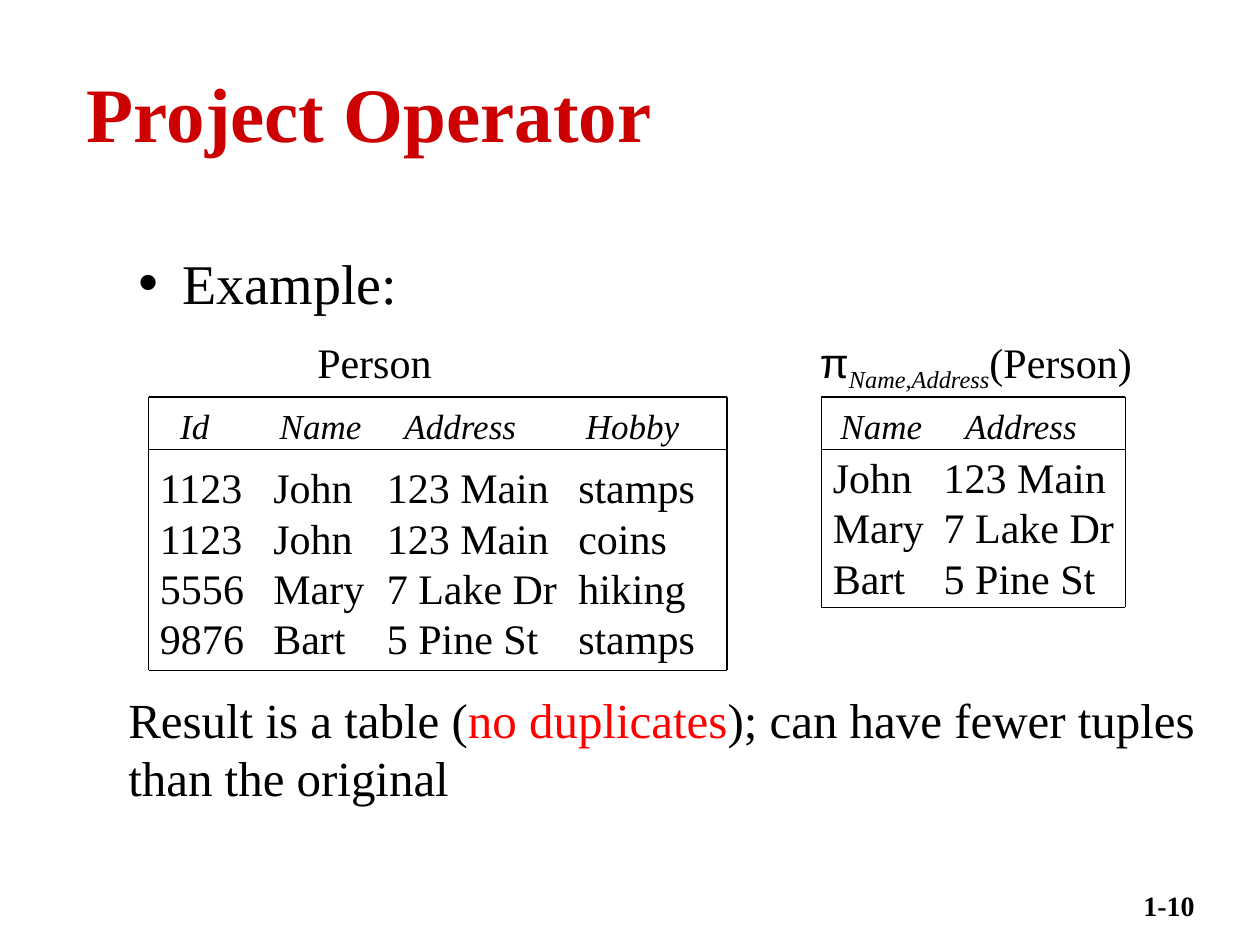
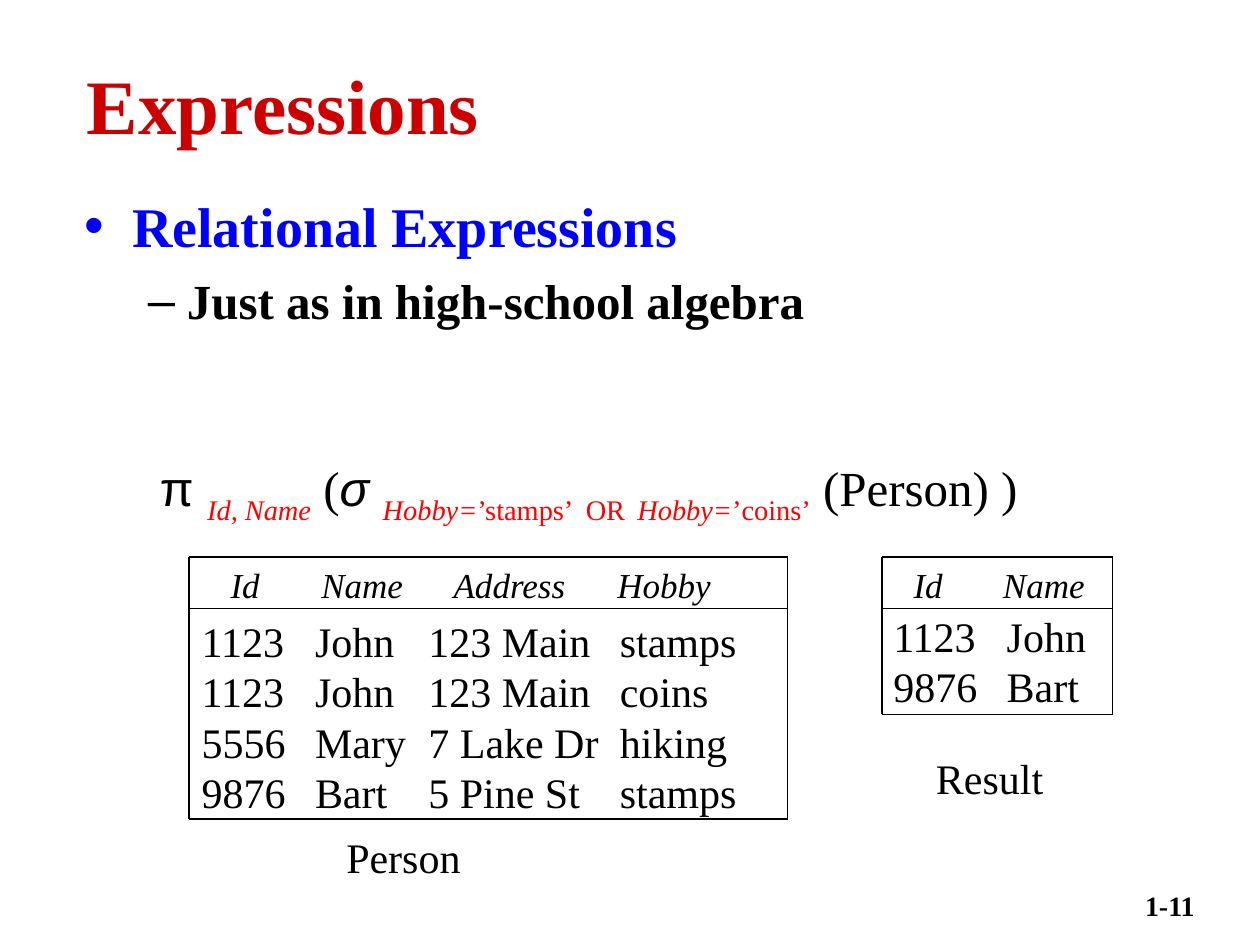
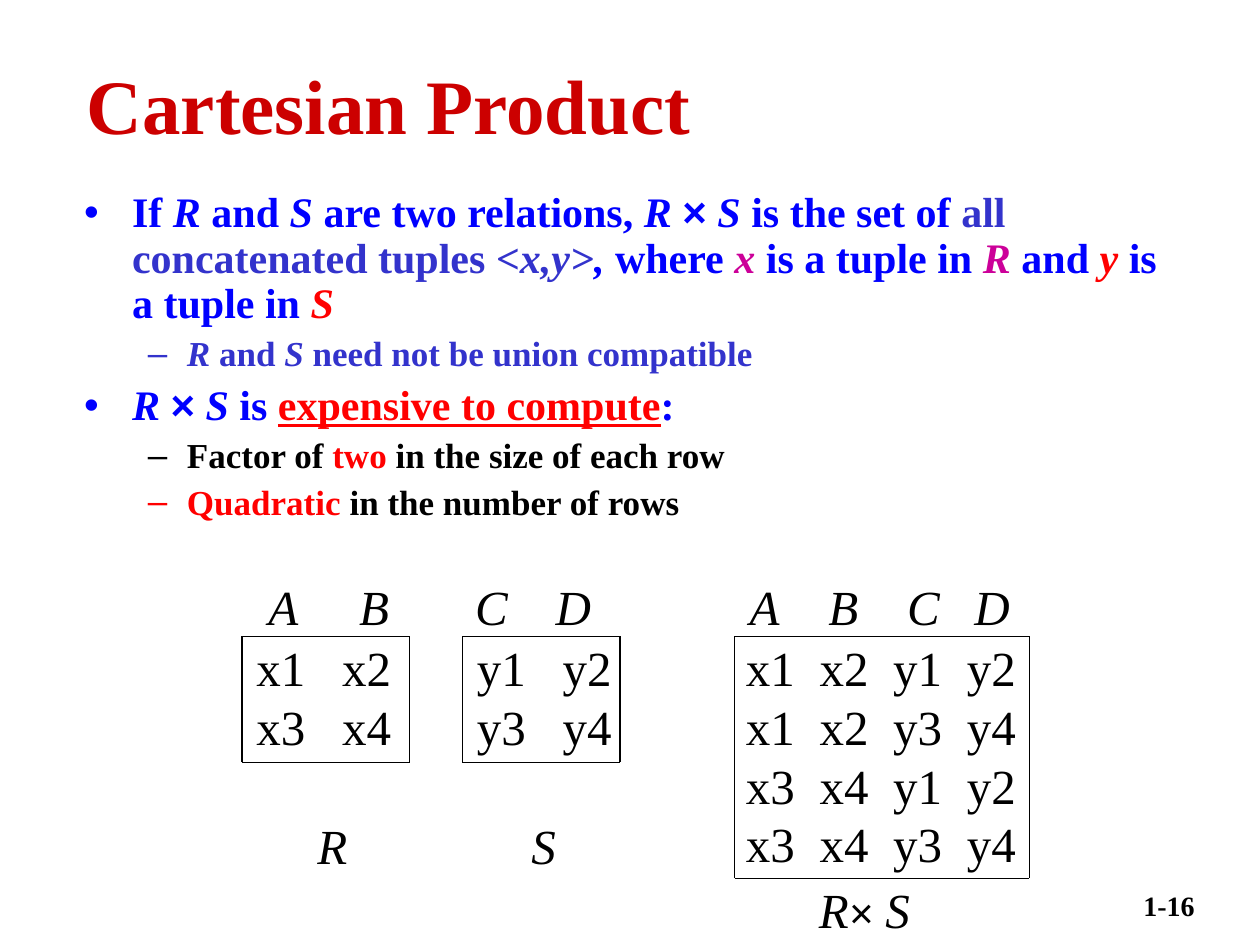
from dataclasses import dataclass, field

from lxml import etree
from pptx import Presentation
from pptx import util as u
from pptx.dml.color import RGBColor
from pptx.enum import shapes, text
from pptx.oxml.ns import qn

COLORS = {
    "ink": "000000",
    "title": "CC0000",
    "blue": "0000FF",
    "indigo": "3333CC",
    "red": "FF0000",
    "magenta": "CC0099",
}
SERIF, SANS = "Times New Roman", "Arial"
WIDTH, HEIGHT = u.Inches(10), u.Inches(7.5)
COLUMNS, ROWS = 100, 75
ITALIC = {"italic": True}
RED = {"color": "red"}
INDIGO = {"color": "indigo"}
SUBSCRIPT = {"color": "red", "baseline": -30}


@dataclass(frozen=True)
class Line:
    spans: list[tuple[str, dict]]
    size: float = 24
    color: str = "ink"
    bold: bool = False
    bullet: str = ""
    bullet_color: str = ""
    indent: tuple[float, float] = (0, 0)
    before: float = 0
    spacing: float = 1
    align: text.PP_ALIGN = text.PP_ALIGN.LEFT


@dataclass(frozen=True)
class Relation:
    left: float
    top: float
    header_height: float
    body_height: float
    widths: list[float]
    header_indents: list[float]
    names: list[str]
    records: list[list[str]]
    top_gap: float = 0.5
    cell_indent: float = 0.9
    header_size: float = 20
    body_size: float = 24
    framed_header: bool = True


@dataclass(frozen=True)
class Caption:
    left: float
    top: float
    width: float
    height: float
    lines: list[Line] = field(default_factory=list)


def across(columns: float) -> int:
    return round(WIDTH * columns / COLUMNS)


def down(rows: float) -> int:
    return round(HEIGHT * rows / ROWS)


def add_span(para, words: str, *, size: float, color: str = "ink", font: str = SERIF,
             bold: bool = False, italic: bool = False, underline: bool = False,
             baseline: int = 0) -> None:
    span = para.add_run()
    span.text = words
    span.font.size = u.Pt(size)
    span.font.name = font
    span.font.bold = bold
    span.font.italic = italic
    span.font.underline = underline
    span.font.color.rgb = RGBColor.from_string(COLORS[color])
    if baseline:
        span.font._element.set("baseline", str(baseline * 1000))


def add_bullet(para, line: Line) -> None:
    properties = para._p.get_or_add_pPr()
    margin, first = line.indent
    properties.set("marL", str(across(margin)))
    properties.set("indent", str(across(first)))
    tint = etree.SubElement(properties, qn("a:buClr"))
    etree.SubElement(tint, qn("a:srgbClr"), val=COLORS[line.bullet_color or line.color])
    etree.SubElement(properties, qn("a:buFont"), typeface=SANS)
    etree.SubElement(properties, qn("a:buChar"), char=line.bullet)


def add_text(page, caption: Caption, anchor=text.MSO_ANCHOR.TOP) -> None:
    box = page.shapes.add_textbox(across(caption.left), down(caption.top),
                                  across(caption.width), down(caption.height))
    frame = box.text_frame
    frame.word_wrap = True
    frame.vertical_anchor = anchor
    for number, line in enumerate(caption.lines):
        para = frame.add_paragraph() if number else frame.paragraphs[0]
        para.alignment = line.align
        para.line_spacing = line.spacing
        para.space_before = u.Pt(line.before)
        if line.bullet:
            add_bullet(para, line)
        for words, changes in line.spans:
            look = {"size": line.size, "color": line.color, "bold": line.bold} | changes
            add_span(para, words, **look)


def clear_borders(cell) -> None:
    properties = cell._tc.get_or_add_tcPr()
    for position, side in enumerate("LRTB"):
        border = etree.Element(qn(f"a:ln{side}"))
        etree.SubElement(border, qn("a:noFill"))
        properties.insert(position, border)


def add_rule(page, x1: float, y1: float, x2: float, y2: float) -> None:
    rule = page.shapes.add_connector(shapes.MSO_CONNECTOR.STRAIGHT,
                                     across(x1), down(y1), across(x2), down(y2))
    rule.line.color.rgb = RGBColor.from_string(COLORS["ink"])
    rule.line.width = u.Pt(0.75)
    etree.SubElement(rule._element.spPr, qn("a:effectLst"))


def add_frame(page, relation: Relation) -> None:
    left, right = relation.left, relation.left + sum(relation.widths)
    middle = relation.top + relation.header_height
    levels = [middle, middle + relation.body_height]
    if relation.framed_header:
        levels.insert(0, relation.top)
    for level in levels:
        add_rule(page, left, level, right, level)
    for upper, lower in zip(levels, levels[1:]):
        for side in (left, right):
            add_rule(page, side, upper, side, lower)


def add_relation(page, relation: Relation) -> None:
    heights = [relation.body_size / 6] * (len(relation.records) + 1)
    heights[0] = relation.header_height
    heights[1] += relation.top_gap
    table = page.shapes.add_table(
        len(heights), len(relation.widths), across(relation.left), down(relation.top),
        across(sum(relation.widths)), down(sum(heights))).table
    table.first_row = table.horz_banding = False
    for column, width in zip(table.columns, relation.widths):
        column.width = across(width)
    for r, (height, values) in enumerate(zip(heights, [relation.names, *relation.records])):
        table.rows[r].height = down(height)
        header = r == 0
        for c, value in enumerate(values):
            cell = table.cell(r, c)
            cell.fill.background()
            cell.margin_left = across(
                relation.header_indents[c] if header else relation.cell_indent)
            cell.margin_right = 0
            cell.margin_top = down(relation.top_gap) if r == 1 else 0
            cell.margin_bottom = down(0.2) if header and relation.framed_header else 0
            cell.vertical_anchor = text.MSO_ANCHOR.BOTTOM if header else text.MSO_ANCHOR.TOP
            add_span(cell.text_frame.paragraphs[0], value, italic=header,
                     size=relation.header_size if header else relation.body_size)
            clear_borders(cell)
    add_frame(page, relation)


def add_page(deck, title: str, number: str, title_top: float = 4.2,
             title_height: float = 8.1):
    page = deck.slides.add_slide(deck.slide_layouts[6])
    add_text(page, Caption(86.2, 70, 9.6, 5, [
        Line([(number, {})], size=16, bold=True, align=text.PP_ALIGN.RIGHT)]))
    add_text(page, Caption(5.9, title_top, 89.1, title_height, [
        Line([(title, {})], size=44, color="title", bold=True)]), text.MSO_ANCHOR.MIDDLE)
    return page


def main_point(spans: list[tuple[str, dict]], size: float, **format) -> Line:
    return Line(spans, size=size, color="blue", bold=True, bullet="•",
                indent=(3.8, -3.8), **format)


def sub_point(spans: list[tuple[str, dict]], size: float, **format) -> Line:
    return Line(spans, size=size, bold=True, bullet="–", indent=(8.15, -3.1), **format)


PERSON_NAMES = ["Id", "Name", "Address", "Hobby"]
PERSON_RECORDS = [
    ["1123", "John", "123 Main", "stamps"],
    ["1123", "John", "123 Main", "coins"],
    ["5556", "Mary", "7 Lake Dr", "hiking"],
    ["9876", "Bart", "5 Pine St", "stamps"],
]


def build_project(deck) -> None:
    page = add_page(deck, "Project Operator", "1-10", 6.4, 4.9)
    add_text(page, Caption(10, 19.2, 84.2, 6, [
        Line([("Example:", {})], size=32, bullet="•", indent=(3.5, -3.5))]))
    add_text(page, Caption(24.2, 26.2, 12, 5, [Line([("Person", {})])]))
    add_text(page, Caption(64.1, 26.2, 30, 5, [Line([
        ("π", {"font": SANS}),
        ("Name,Address", {"italic": True, "baseline": -25}),
        ("(Person)", {})])]))
    add_relation(page, Relation(
        11.8, 31.5, 4.2, 17.5, [9, 9, 15.2, 12.7], [2.5, 1.4, 2.3, 1.5],
        PERSON_NAMES, PERSON_RECORDS, top_gap=1.3))
    add_relation(page, Relation(
        65.2, 31.5, 4.2, 12.5, [8.8, 15.3], [1.5, 2.6], ["Name", "Address"],
        [["John", "123 Main"], ["Mary", "7 Lake Dr"], ["Bart", "5 Pine St"]]))
    add_text(page, Caption(9.2, 54.2, 90, 10.4, [
        Line([("Result is a table (", {}), ("no duplicates", RED),
              ("); can have fewer tuples", {})], size=28),
        Line([("than the original", {})], size=28)]))


def build_expressions(deck) -> None:
    page = add_page(deck, "Expressions", "1-11")
    add_text(page, Caption(5.7, 14.7, 89.1, 22.3, [
        main_point([("Relational Expressions", {})], 32, before=8),
        sub_point([("Just as in high-school algebra", {})], 28, before=7)]))
    add_text(page, Caption(11.7, 35.8, 77.4, 6.5, [Line([
        ("π ", {"font": SANS}),
        ("Id, Name", SUBSCRIPT | ITALIC),
        (" (", {}),
        ("σ ", {"font": SANS} | ITALIC),
        ("Hobby=", SUBSCRIPT | ITALIC),
        ("’stamps’", SUBSCRIPT),
        (" ", {}),
        ("OR", SUBSCRIPT),
        (" ", {}),
        ("Hobby=", SUBSCRIPT | ITALIC),
        ("’coins’", SUBSCRIPT),
        (" (Person) )", {})], size=28)]))
    add_relation(page, Relation(
        15, 44.2, 4.1, 16.7, [9, 9, 15.2, 14.3], [3.3, 1.5, 3, 0.8],
        PERSON_NAMES, PERSON_RECORDS, top_gap=0.9, cell_indent=1))
    add_relation(page, Relation(
        70, 44.2, 4.1, 8.4, [9, 9.3], [2.5, 0.6], ["Id", "Name"],
        [["1123", "John"], ["9876", "Bart"]]))
    add_text(page, Caption(26.5, 65.5, 12, 5, [Line([("Person", {})])]))
    add_text(page, Caption(73.3, 59.2, 12, 5, [Line([("Result", {})])]))


def build_product(deck) -> None:
    page = add_page(deck, "Cartesian Product", "1-16")
    times = ("×", {"font": SANS})
    main_format = {"size": 24, "before": 6, "spacing": 0.9}
    sub_format = {"size": 20, "before": 5, "spacing": 0.9}
    add_text(page, Caption(5.7, 14.7, 88.2, 30.8, [
        main_point([
            ("If ", {}), ("R ", ITALIC), ("and ", {}), ("S ", ITALIC),
            ("are two relations, ", {}), ("R ", ITALIC), times, (" S", ITALIC),
            (" is the set of ", {}), ("all concatenated tuples ", INDIGO),
            ("<x,y>", INDIGO | ITALIC), (",", ITALIC), (" where ", {}),
            ("x", {"color": "magenta"} | ITALIC), (" is a tuple in ", {}),
            ("R", {"color": "magenta"} | ITALIC), (" and ", {}),
            ("y", RED | ITALIC), (" is a tuple in ", {}), ("S", RED | ITALIC)],
            **main_format),
        sub_point([
            ("R", INDIGO | ITALIC), (" and ", INDIGO), ("S", INDIGO | ITALIC),
            (" need not be union compatible", INDIGO)],
            bullet_color="indigo", **sub_format),
        main_point([
            ("R ", ITALIC), times, (" S", ITALIC), (" is ", {}),
            ("expensive to compute", RED | {"underline": True}), (":", {})],
            **main_format),
        sub_point([("Factor of", {}), (" two", RED), (" in the size of each row", {})],
                  **sub_format),
        sub_point([("Quadratic", RED), (" in the number of rows", {})],
                  bullet_color="red", **sub_format)]))

    first = [["x1", "x2"], ["x3", "x4"]]
    second = [["y1", "y2"], ["y3", "y4"]]
    look = {"header_size": 28, "body_size": 28, "framed_header": False}
    add_relation(page, Relation(
        19.2, 45.8, 4.7, 10, [6.8, 6.5], [2.1, 2.5], ["A", "B"], first,
        cell_indent=1.15, **look))
    add_relation(page, Relation(
        36.7, 45.8, 4.7, 10, [6.8, 5.7], [1, 0.6], ["C", "D"], second,
        cell_indent=1.15, **look))
    add_relation(page, Relation(
        58.3, 45.8, 4.7, 19.2, [5.85] * 4, [1.2, 1.6, 2, 1.5], ["A", "B", "C", "D"],
        [x + y for x in first for y in second], **look))
    for left, top, spans in [
        (24.2, 64.2, [("R", ITALIC)]),
        (41.2, 64.2, [("S", ITALIC)]),
        (64, 69.3, [("R", ITALIC), ("×", {"font": SANS, "size": 24} | ITALIC),
                    (" S", ITALIC)]),
    ]:
        add_text(page, Caption(left, top, 12, 5.5, [Line(spans, size=28)]))


def main() -> None:
    deck = Presentation()
    deck.slide_width, deck.slide_height = WIDTH, HEIGHT
    for build in (build_project, build_expressions, build_product):
        build(deck)
    deck.save("out.pptx")


if __name__ == "__main__":
    main()
